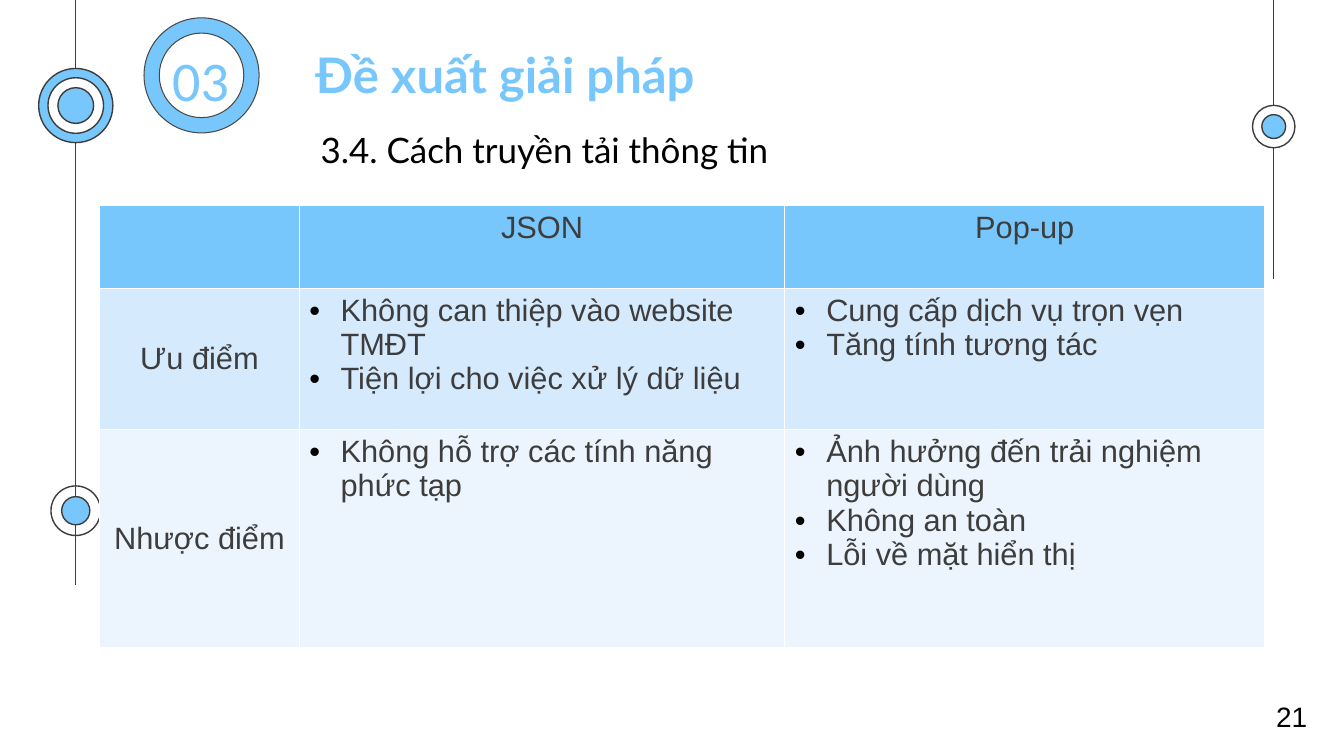
from dataclasses import dataclass
from lxml.etree import SubElement as Sub
from pptx import Presentation
from pptx.dml.color import RGBColor as Rgb
from pptx.enum.shapes import MSO_CONNECTOR as Conn, MSO_SHAPE as Shape
from pptx.enum.text import MSO_ANCHOR as Anchor, MSO_AUTO_SIZE as Auto, PP_ALIGN as Align
from pptx.oxml.ns import qn
from pptx.util import Cm, Pt

TITLE = "Đề xuất giải pháp"
SUB = "3.4. Cách truyền tải thông tin"
BADGE = "03"
PAGE = "21"
HEADS = ["", "JSON", "Pop-up"]
ROWS = [
    ("Ưu điểm",
     ["Không can thiệp vào website TMĐT", "Tiện lợi cho việc xử lý dữ liệu"],
     ["Cung cấp dịch vụ trọn vẹn", "Tăng tính tương tác"]),
    ("Nhược điểm",
     ["Không hỗ trợ các tính năng phức tạp"],
     ["Ảnh hưởng đến trải nghiệm người dùng", "Không an toàn", "Lỗi về mặt hiển thị"]),
]
WIDTHS = [5.03, 12.24, 12.09]
HEIGHTS = [2.08, 3.56, 5.49]
LEFT, RIGHT = 1.91, 32.1


@dataclass(frozen=True)
class Theme:
    """Colours, fonts and type sizes of the slide."""
    blue: str = "77C6FC"
    white: str = "FFFFFF"
    black: str = "000000"
    dark: str = "3D3D3D"
    rim: str = "494949"
    pale: tuple = ("D6EAFE", "ECF5FE")
    head: str = "Lato"
    num: str = "Calibri"
    body: str = "Arial"
    title: int = 35
    sub: int = 25
    badge: int = 40
    cell: int = 22
    page: int = 20


T = Theme()
RAILS = [(LEFT, 14.73), (RIGHT, 7.04)]
RINGS = [
    (LEFT, 12.87, T.dark, 1, [(1.25, None), (0.71, T.blue)]),
    (RIGHT, 3.19, T.dark, 1, [(1.07, T.white), (0.6, T.blue)]),
    (LEFT, 2.66, T.dark, 1, [(1.87, T.blue), (1.4, T.white), (0.9, T.blue)]),
    (5.08, 1.9, T.rim, 0.75, [(2.9, T.blue), (2.13, T.white)]),
]


def style(par, face, size, color, bold=False, align=Align.LEFT):
    """Format one paragraph."""
    par.alignment = align
    font = par.font
    font.name, font.size, font.bold = face, Pt(size), bold
    font.color.rgb = Rgb.from_string(color)


def write(box, text, *look, anchor=Anchor.TOP, **more):
    """Put one styled line in a shape with even insets."""
    frame = box.text_frame
    frame.word_wrap, frame.auto_size = True, Auto.NONE
    frame.vertical_anchor = anchor
    frame.margin_left = frame.margin_right = Cm(0.33)
    frame.margin_top = frame.margin_bottom = Cm(0.33)
    frame.text = text
    style(frame.paragraphs[0], *look, **more)


def rail(shapes, x, end):
    """Draw a vertical line down from the top edge."""
    line = shapes.add_connector(Conn.STRAIGHT, Cm(x), 0, Cm(x), Cm(end))
    line.line.color.rgb = Rgb.from_string(T.dark)
    line.line.width = Pt(0.75)
    Sub(line._element.spPr, qn("a:effectLst"))


def ring(shapes, x, y, edge, width, discs):
    """Draw discs around one centre."""
    for size, fill in discs:
        disc = shapes.add_shape(Shape.OVAL, Cm(x - size / 2), Cm(y - size / 2), Cm(size), Cm(size))
        disc.shadow.inherit = False
        disc.line.color.rgb = Rgb.from_string(edge)
        disc.line.width = Pt(width)
        if fill:
            disc.fill.solid()
            disc.fill.fore_color.rgb = Rgb.from_string(fill)
        else:
            disc.fill.background()


def bullet(par):
    """Give a paragraph a black dot and a hanging indent."""
    props = par._p.get_or_add_pPr()
    props.set("marL", str(Cm(0.79)))
    props.set("indent", str(-Cm(0.79)))
    Sub(Sub(props, qn("a:buClr")), qn("a:srgbClr"), val=T.black)
    Sub(props, qn("a:buFont"), typeface=T.body)
    Sub(props, qn("a:buChar"), char="•")


def fill_cell(cell, item, color):
    """Fill a cell with a centred label or a bullet list."""
    cell.fill.solid()
    cell.fill.fore_color.rgb = Rgb.from_string(color)
    listed = isinstance(item, list)
    cell.text = "\n".join(item) if listed else item
    for par in cell.text_frame.paragraphs:
        if listed:
            bullet(par)
        style(par, T.body, T.cell, T.dark, align=Align.LEFT if listed else Align.CENTER)


def grid(shapes):
    """Build the comparison table."""
    table = shapes.add_table(len(HEIGHTS), len(WIDTHS), Cm(2.51), Cm(5.18),
                             Cm(sum(WIDTHS)), Cm(sum(HEIGHTS))).table
    for col, width in zip(table.columns, WIDTHS):
        col.width = Cm(width)
    for row, height in zip(table.rows, HEIGHTS):
        row.height = Cm(height)
    for r, (items, color) in enumerate(zip([HEADS, *ROWS], [T.blue, *T.pale])):
        for c, item in enumerate(items):
            fill_cell(table.cell(r, c), item, color)
        if r:
            table.cell(r, 0).vertical_anchor = Anchor.MIDDLE


def main():
    """Build and save the slide."""
    deck = Presentation()
    deck.slide_width, deck.slide_height = Cm(33.87), Cm(19.05)
    shapes = deck.slides.add_slide(deck.slide_layouts[5]).shapes
    for spot in RAILS:
        rail(shapes, *spot)
    for spot in RINGS:
        ring(shapes, *spot)

    def box(*place):
        """Add a text box."""
        return shapes.add_textbox(*map(Cm, place))

    write(box(3.53, 0.38, 3.05, 2.79), BADGE, T.num, T.badge, T.blue,
          anchor=Anchor.BOTTOM, align=Align.CENTER)
    title = shapes.title
    title.left, title.top, title.width, title.height = map(Cm, (7.62, 0.79, 20.5, 2.21))
    write(title, TITLE, T.head, T.title, T.blue, bold=True)
    write(box(7.75, 2.92, 20.5, 2.21), SUB, T.head, T.sub, T.black)
    grid(shapes)
    write(box(31.83, 17.3, 1.68, 1.35), PAGE, T.body, T.page, T.black)
    deck.save("out.pptx")


if __name__ == "__main__":
    main()
